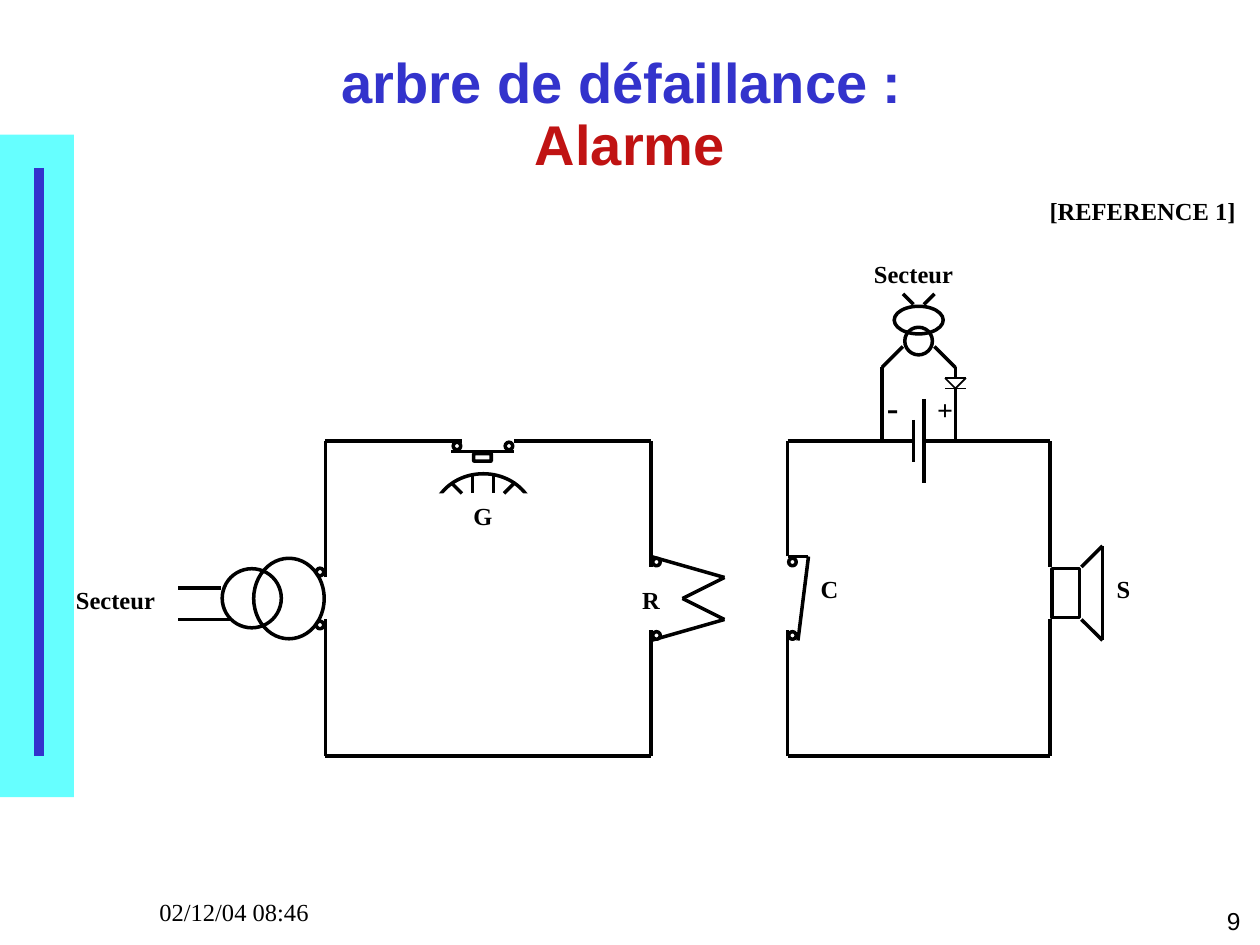
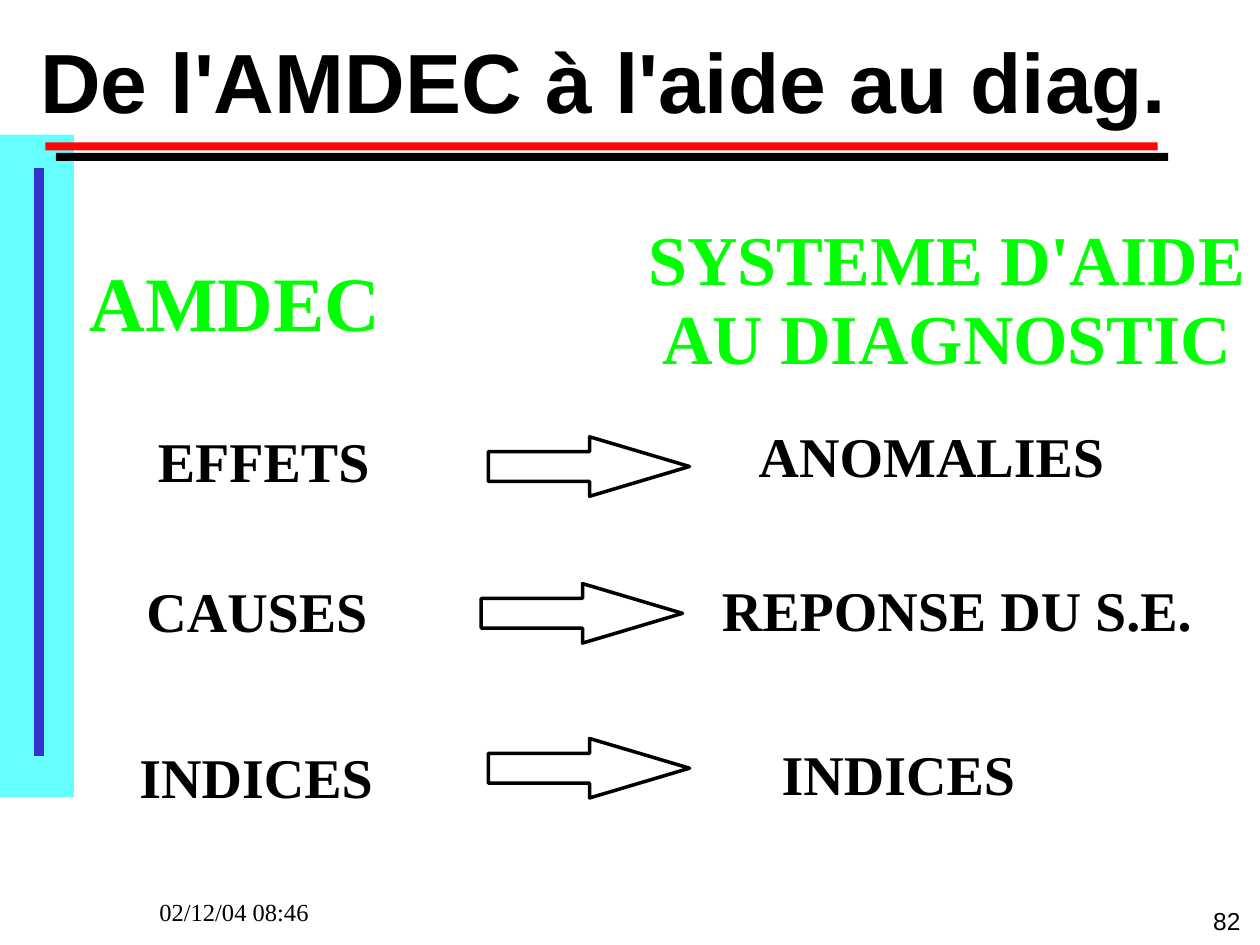
from itertools import cycle, pairwise

from lxml.etree import SubElement
from pptx import Presentation
from pptx.dml.color import RGBColor
from pptx.enum.shapes import MSO_CONNECTOR as Connector, MSO_SHAPE as Shape
from pptx.enum.text import MSO_ANCHOR as Anchor, MSO_AUTO_SIZE as AutoSize, PP_ALIGN as Align
from pptx.oxml.ns import qn
from pptx.util import Pt

BLACK, WHITE, BLUE, CYAN = "000000", "FFFFFF", "3333CC", "66FFFF"
DARK_RED, RED, GREEN = "C01313", "FF0505", "00FF00"
SANS, SERIF = "Arial", "Times New Roman"
DATE = "02/12/04 08:46"

# Each wire is a chain of points
WIRES = [
    # left circuit with its mains feed
    [(102, 336), (126, 336)],
    [(102, 354), (132, 354)],
    [(186, 330), (186, 252), (264, 252)],
    [(294, 252), (372, 252), (372, 324)],
    [(186, 354), (186, 432), (372, 432), (372, 360)],
    [(258, 258), (294, 258)],
    # relay coil and contact
    [(372, 318), (414, 330), (390, 342), (414, 354), (372, 366)],
    [(450, 318), (462, 318), (456, 366)],
    # right circuit with its battery
    [(450, 318), (450, 252), (522, 252)],
    [(522, 240), (522, 264)],
    [(528, 228), (528, 276)],
    [(528, 252), (600, 252), (600, 324)],
    [(600, 354), (600, 432), (450, 432), (450, 360)],
    # charger
    [(516, 168), (522, 174)],
    [(528, 174), (534, 168)],
    [(516, 198), (504, 210), (504, 252)],
    [(534, 198), (546, 210), (546, 216)],
    [(546, 222), (546, 252)],
    # siren horn
    [(618, 324), (630, 312), (630, 366), (618, 354)],
]
DIODE = [
    [(540, 222), (552, 222)],
    [(540, 216), (546, 222), (552, 216), (540, 216)],
]
GONG_RAYS = [
    [(258, 276), (264, 282)],
    [(270, 270), (270, 282)],
    [(282, 270), (282, 282)],
    [(294, 276), (288, 282)],
]

# kind, place, fill
PARTS = [
    (Shape.OVAL, (127, 325, 33.8, 33.8), WHITE),
    (Shape.OVAL, (145, 319, 40.3, 46), None),
    (Shape.ROUNDED_RECTANGLE, (270.7, 259.2, 10, 4.3), WHITE),
    (Shape.OVAL, (247, 270.7, 58.3, 51.8), WHITE),
    (Shape.OVAL, (511, 175, 28, 15.8), WHITE),
    (Shape.OVAL, (517, 187, 15.8, 15.8), None),
    (Shape.RECTANGLE, (601, 325, 15.8, 28), WHITE),
]
GONG_MASK = (240, 282, 84, 66)
TERMINALS = [
    (180.7, 324.7), (180.7, 355), (259, 252.7), (288.7, 252.7),
    (373, 319), (373, 361), (450.7, 319), (450.7, 361),
]
TERMINAL_SIZE = 4.3

# text, centre, top, width, size, colour
CIRCUIT_LABELS = [
    ("Secteur", 66, 332, 60, 14, BLACK),
    ("G", 276, 284, 25, 14, BLACK),
    ("R", 372, 332, 25, 14, BLACK),
    ("C", 474, 325.8, 25, 14, BLACK),
    ("S", 642, 325.8, 22, 14, BLACK),
    ("Secteur", 522, 145.8, 60, 14, BLACK),
    ("-", 510.2, 218.6, 22, 20, BLACK),
    ("+", 540, 222.2, 24, 16, BLACK),
    ("[REFERENCE 1]", 653, 109.8, 124, 14, BLACK),
]
DIAGNOSIS_LABELS = [
    ("AMDEC", 134.3, 145.8, 181, 44, GREEN),
    ("SYSTEME D'AIDE\nAU DIAGNOSTIC", 541, 122.6, 356, 40, GREEN),
    ("EFFETS", 150.8, 243, 135, 32, BLACK),
    ("ANOMALIES", 532.4, 240, 212, 32, BLACK),
    ("CAUSES", 146.9, 328.3, 141, 32, BLACK),
    ("INDICES", 146.4, 423.4, 148, 32, BLACK),
    ("INDICES", 513.4, 421.9, 148, 32, BLACK),
]
ANSWER, ANSWER_PLACE = "REPONSE DU S.E.", (405.4, 328.3, 296, 44)
ARROWS = [(279, 249.6), (275, 333.5), (279, 422)]
ARROW_SIZE = (115, 34)


def rgb(color):
    return RGBColor.from_string(color)


def points(values):
    return [Pt(value) for value in values]


def write(box, text, size=14, font=SERIF, colors=(BLACK,), bold=False,
          align=Align.LEFT, anchor=Anchor.TOP, wrap=True, spacing=0.95):
    """Fill a box with one paragraph; the colours go line by line."""
    frame = box.text_frame
    frame.word_wrap = wrap
    frame.auto_size = AutoSize.NONE
    frame.vertical_anchor = anchor
    para = frame.paragraphs[0]
    para.alignment = align
    para.line_spacing = spacing
    for number, (line, color) in enumerate(zip(text.split("\n"), cycle(colors))):
        if number:
            para.add_line_break()
        span = para.add_run()
        span.text = line
        span.font.name = font
        span.font.size = Pt(size)
        span.font.bold = bold
        span.font.color.rgb = rgb(color)


def add_text(slide, place, text, **style):
    write(slide.shapes.add_textbox(*points(place)), text, **style)


def add_part(slide, kind, place, fill=None, line=BLACK):
    part = slide.shapes.add_shape(kind, *points(place))
    part.shadow.inherit = False
    if kind == Shape.ROUNDED_RECTANGLE:
        part.adjustments[0] = 0.01
    if fill:
        part.fill.solid()
        part.fill.fore_color.rgb = rgb(fill)
    else:
        part.fill.background()
    if line:
        part.line.color.rgb = rgb(line)
        part.line.width = Pt(2)
    else:
        part.line.fill.background()
    return part


def add_labels(slide, labels):
    for text, centre, top, width, size, color in labels:
        height = size * 1.15 * (text.count("\n") + 1) + 7
        place = (centre - width / 2, top, width, height)
        label = add_part(slide, Shape.ROUNDED_RECTANGLE, place, line=None)
        write(label, text, size=size, colors=[color], bold=True,
              align=Align.CENTER, wrap=False)


def add_wires(slide, chains, color=BLACK, width=2):
    for chain in chains:
        for start, end in pairwise(chain):
            wire = slide.shapes.add_connector(Connector.STRAIGHT, *points(start + end))
            wire.line.color.rgb = rgb(color)
            wire.line.width = Pt(width)
            SubElement(wire.element.spPr, qn("a:effectLst"))


def add_slide(deck, number, title, place, **style):
    """Add a slide with the side band, the footers and its title."""
    slide = deck.slides.add_slide(deck.slide_layouts[5])
    add_part(slide, Shape.RECTANGLE, (0, 77, 42.2, 378.5), CYAN, line=None)
    add_wires(slide, [[(22.2, 96), (22.2, 432)]], BLUE, 6)
    add_text(slide, (566, 515.5, 150, 23), number, font=SANS, align=Align.RIGHT, spacing=0.93)
    add_text(slide, (84, 510, 150, 23), DATE)
    box = slide.shapes.title
    box.left, box.top, box.width, box.height = points(place)
    write(box, title, font=SANS, bold=True, anchor=Anchor.MIDDLE, spacing=0.93, **style)
    return slide


def add_hard_shadow(shape, distance, color):
    """Cast an unblurred shadow to the lower right."""
    effects = shape.element.spPr.find(qn("a:effectLst"))
    shadow = SubElement(effects, qn("a:outerShdw"), blurRad="0", dist=str(Pt(distance)),
                        dir="2700000", algn="tl", rotWithShape="0")
    SubElement(shadow, qn("a:srgbClr"), val=color)


def build_alarm_slide(deck):
    slide = add_slide(deck, "9", "arbre de défaillance : \nAlarme", (54, 25.4, 612, 81.5),
                      size=32, colors=(BLUE, DARK_RED), align=Align.CENTER)
    add_wires(slide, WIRES)
    add_wires(slide, DIODE, width=1)
    for kind, place, fill in PARTS:
        add_part(slide, kind, place, fill)
    add_part(slide, Shape.ROUNDED_RECTANGLE, GONG_MASK, WHITE, line=None)
    add_wires(slide, GONG_RAYS)
    for corner in TERMINALS:
        add_part(slide, Shape.OVAL, (*corner, TERMINAL_SIZE, TERMINAL_SIZE), WHITE)
    add_labels(slide, CIRCUIT_LABELS)


def build_diagnosis_slide(deck):
    slide = add_slide(deck, "82", "De l'AMDEC à l'aide au diag.", (15.8, 18.2, 704, 61),
                      size=48, align=Align.LEFT)
    rule = add_part(slide, Shape.ROUNDED_RECTANGLE, (26, 81.4, 635.5, 4.6), RED, line=None)
    add_hard_shadow(rule, 8.5, BLACK)
    for corner in ARROWS:
        arrow = add_part(slide, Shape.RIGHT_ARROW, (*corner, *ARROW_SIZE))
        arrow.adjustments[0] = 0.5
        arrow.adjustments[1] = 1.68
    add_labels(slide, DIAGNOSIS_LABELS)
    add_text(slide, ANSWER_PLACE, ANSWER, size=32, bold=True)


def main():
    deck = Presentation()
    deck.slide_width, deck.slide_height = points((720, 540))
    build_alarm_slide(deck)
    build_diagnosis_slide(deck)
    deck.save("out.pptx")


if __name__ == "__main__":
    main()
